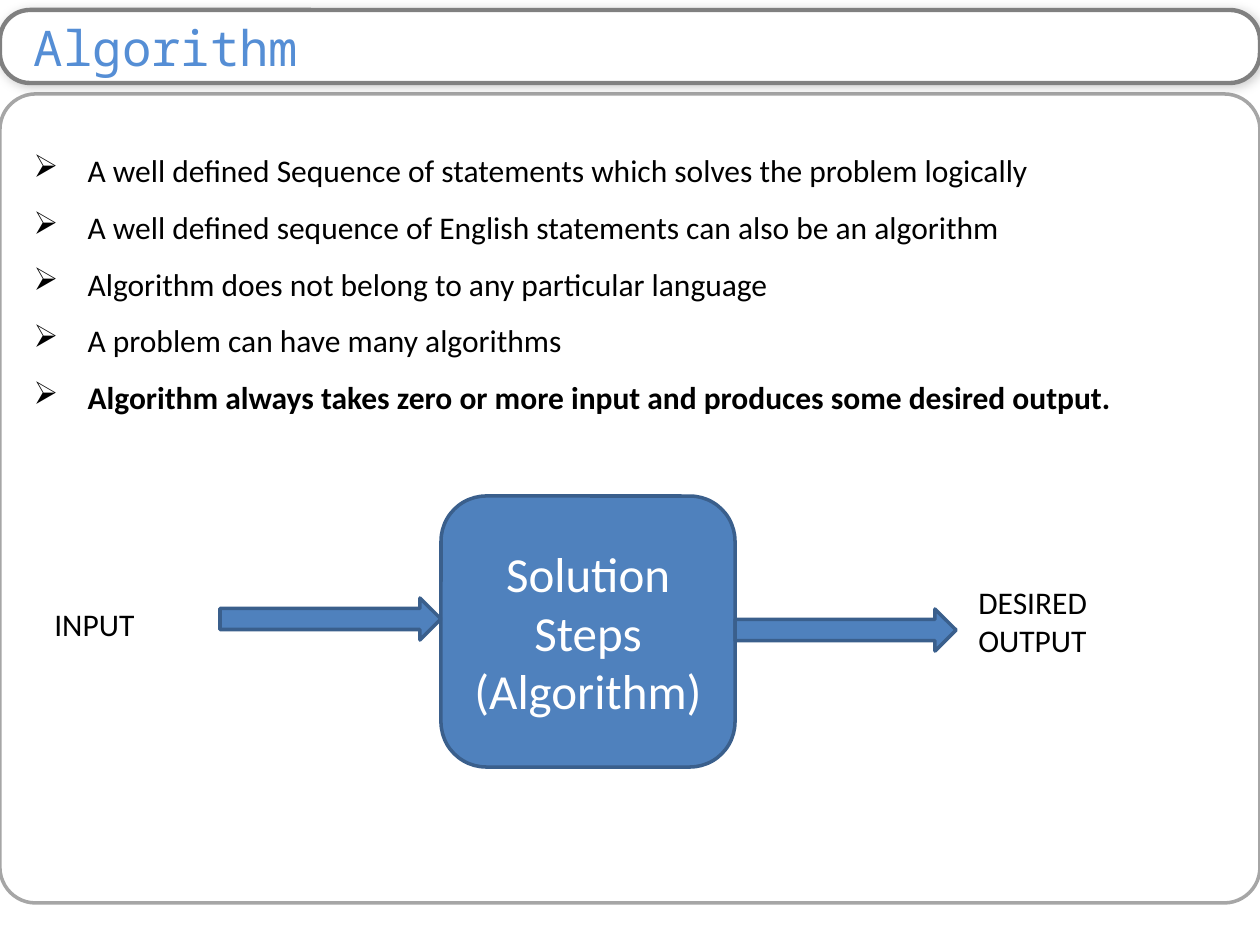
"""Build a slide that explains an algorithm with a list and an input-output flow."""
from lxml import etree
from pptx import Presentation
from pptx.dml.color import RGBColor
from pptx.enum.shapes import MSO_SHAPE
from pptx.enum.text import MSO_ANCHOR, MSO_AUTO_SIZE, PP_ALIGN
from pptx.oxml import parse_xml
from pptx.oxml.ns import nsdecls, qn
from pptx.util import Pt

ROUNDED, ARROW = MSO_SHAPE.ROUNDED_RECTANGLE, MSO_SHAPE.RIGHT_ARROW
TOP, MIDDLE = MSO_ANCHOR.TOP, MSO_ANCHOR.MIDDLE
LEFT, CENTER = PP_ALIGN.LEFT, PP_ALIGN.CENTER
NO_FIT = MSO_AUTO_SIZE.NONE

TITLE = "Algorithm"
POINTS = [
    ("A well defined Sequence of statements which solves the problem logically", False),
    ("A well defined sequence of English statements can also be an algorithm", False),
    ("Algorithm does not belong to any particular language", False),
    ("A problem can have many algorithms", False),
    ("Algorithm always takes zero or more input and produces some desired output.", True),
]
STEPS = ["Solution Steps", "(Algorithm)"]
LABELS = [("INPUT", (42, 599, 179, 50)), ("DESIRED OUTPUT", (966, 577, 179, 90))]

SLIDE = (1260, 945)
PANEL_BOX = (0, 94, 1260, 809)
HEADER_BOX = (0, 10, 1260, 73)
BODY_BOX = (21, 126, 1218, 432)
STEPS_BOX = (441, 496, 294, 271)
ARROW_SIZE = (221, 42)
ARROW_TOPS = (598, 609)
BULLET_INDENT = 54

THEME = {
    "title": {"name": "Noto Sans Mono", "size": Pt(28), "color": "558ED5"},
    "body": {"name": "Calibri", "size": Pt(18), "color": "000000"},
    "steps": {"name": "Calibri", "size": Pt(28), "color": "FFFFFF"},
    "panel": {"fill": None, "line": "A6A6A6", "width": 2},
    "header": {"fill": "FFFFFF", "line": "808080", "width": 2.5},
    "flow": {"fill": "4F81BD", "line": "3A5F8C", "width": 2},
    "shadow": "000000",
}


def px(value):
    return round(value * 914400 / 126)


def place(shape, box):
    shape.left, shape.top, shape.width, shape.height = map(px, box)


def add_box(slide, kind, box, style, corner=None):
    shape = slide.shapes.add_shape(kind, *map(px, box))
    shape.shadow.inherit = False
    if style["fill"]:
        shape.fill.solid()
        shape.fill.fore_color.rgb = RGBColor.from_string(style["fill"])
    else:
        shape.fill.background()
    shape.line.color.rgb = RGBColor.from_string(style["line"])
    shape.line.width = Pt(style["width"])
    if corner is not None:
        shape.adjustments[0] = corner
    return shape


def add_shadow(shape):
    effects = shape.element.spPr.find(qn("a:effectLst"))
    effects.append(parse_xml(
        f'<a:outerShdw {nsdecls("a")} blurRad="{Pt(6)}" dist="{Pt(1)}" dir="2700000">'
        f'<a:srgbClr val="{THEME["shadow"]}"><a:alpha val="20000"/></a:srgbClr>'
        '</a:outerShdw>'))


def write(shape, lines, style, frame_format, paragraph_format):
    frame = shape.text_frame
    frame.text = "\n".join(text for text, bold in lines)
    for name, value in {"word_wrap": True, "auto_size": NO_FIT, **frame_format}.items():
        setattr(frame, name, value)
    for paragraph, (text, bold) in zip(frame.paragraphs, lines):
        for name, value in paragraph_format.items():
            setattr(paragraph, name, value)
        font = paragraph.runs[0].font
        font.name, font.size, font.bold = style["name"], style["size"], bold
        font.color.rgb = RGBColor.from_string(style["color"])


def add_bullet(paragraph):
    properties = paragraph._p.get_or_add_pPr()
    properties.set("marL", str(px(BULLET_INDENT)))
    properties.set("indent", str(-px(BULLET_INDENT)))
    etree.SubElement(properties, qn("a:buFont"), typeface="Wingdings")
    etree.SubElement(properties, qn("a:buChar"), char="Ø")


def add_frame(slide):
    add_box(slide, ROUNDED, PANEL_BOX, THEME["panel"], 0.044)
    add_shadow(add_box(slide, ROUNDED, HEADER_BOX, THEME["header"], 0.41))


def add_text(slide):
    title, body = slide.shapes.title, slide.placeholders[1]
    for shape, box in ((title, HEADER_BOX), (body, BODY_BOX)):
        place(shape, box)
        shape.element.getparent().append(shape.element)
    insets = {"margin_left": px(34), "margin_right": px(13),
              "margin_top": 0, "margin_bottom": 0}
    write(title, [(TITLE, False)], THEME["title"],
          {"vertical_anchor": MIDDLE, **insets}, {"alignment": LEFT})
    write(body, POINTS, THEME["body"], {"vertical_anchor": TOP},
          {"alignment": LEFT, "line_spacing": 1.5, "space_before": Pt(0)})
    for paragraph in body.text_frame.paragraphs:
        add_bullet(paragraph)


def add_flow(slide):
    steps = add_box(slide, ROUNDED, STEPS_BOX, THEME["flow"])
    write(steps, [(text, False) for text in STEPS], THEME["steps"],
          {"vertical_anchor": MIDDLE}, {"alignment": CENTER})
    left, _, width, _ = STEPS_BOX
    for arrow_left, arrow_top in zip((left - ARROW_SIZE[0], left + width), ARROW_TOPS):
        add_box(slide, ARROW, (arrow_left, arrow_top, *ARROW_SIZE), THEME["flow"])
    for text, box in LABELS:
        label = slide.shapes.add_textbox(*map(px, box))
        write(label, [(text, False)], THEME["body"],
              {"vertical_anchor": TOP}, {"alignment": LEFT})


def main():
    presentation = Presentation()
    presentation.slide_width, presentation.slide_height = map(px, SLIDE)
    slide = presentation.slides.add_slide(presentation.slide_layouts[1])
    add_frame(slide)
    add_text(slide)
    add_flow(slide)
    presentation.save("out.pptx")


if __name__ == "__main__":
    main()
